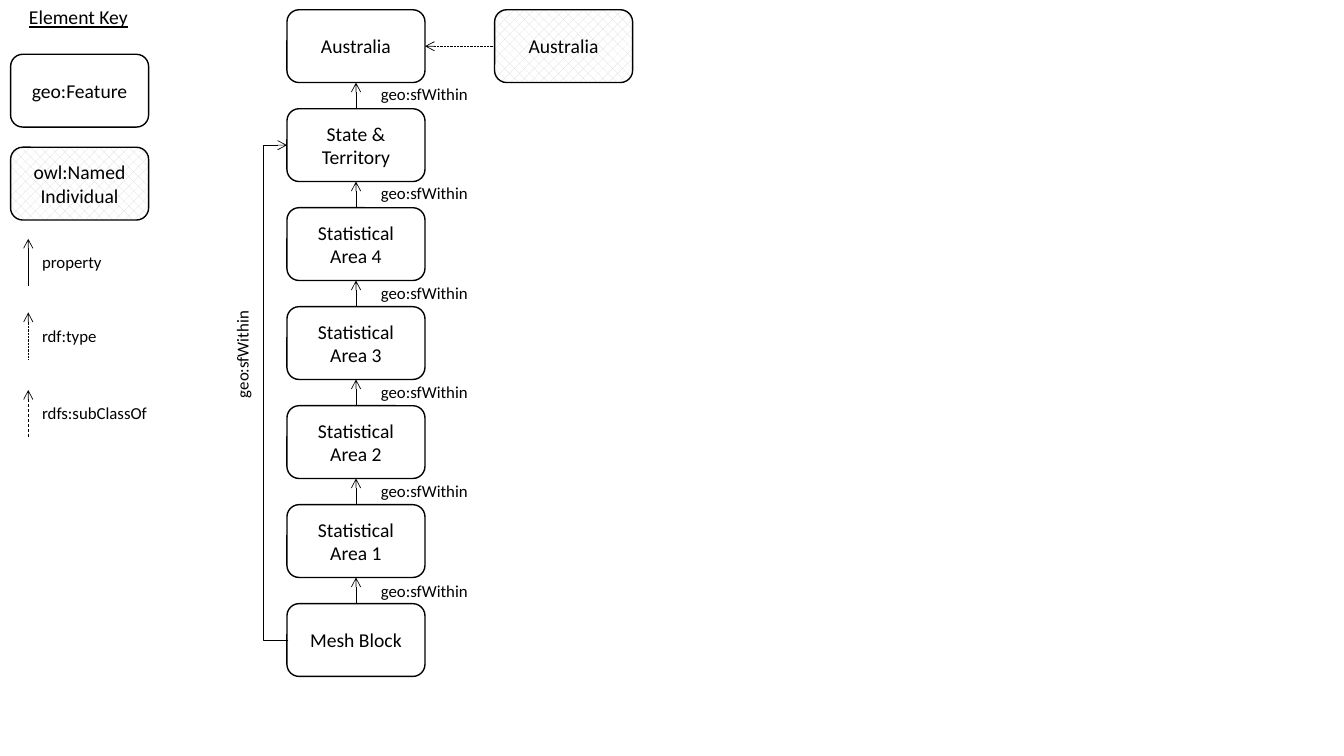
from dataclasses import dataclass

from lxml import etree
from pptx import Presentation
from pptx.dml.color import RGBColor
from pptx.enum.dml import MSO_LINE, MSO_PATTERN
from pptx.enum.shapes import MSO_CONNECTOR, MSO_SHAPE
from pptx.enum.text import MSO_ANCHOR, MSO_AUTO_SIZE, PP_ALIGN
from pptx.oxml.ns import qn
from pptx.util import Pt

STRAIGHT, ELBOW = MSO_CONNECTOR.STRAIGHT, MSO_CONNECTOR.ELBOW
ROUNDED = MSO_SHAPE.ROUNDED_RECTANGLE
DOTTED, DASHED = MSO_LINE.ROUND_DOT, MSO_LINE.DASH
HATCH = MSO_PATTERN.PERCENT_30
MIDDLE, CENTER = MSO_ANCHOR.MIDDLE, PP_ALIGN.CENTER
FIT_TEXT = MSO_AUTO_SIZE.SHAPE_TO_FIT_TEXT


@dataclass(frozen=True)
class Theme:
    """Colours, font, type sizes and line widths of the diagram."""

    ink: RGBColor = RGBColor(0, 0, 0)
    paper: RGBColor = RGBColor(255, 255, 255)
    hatch: RGBColor = RGBColor(0xD9, 0xD9, 0xD9)
    font: str = "Calibri"
    node_size: int = 14
    label_size: int = 12
    node_line: float = 1
    arrow_line: float = 0.5


THEME = Theme()
NODE_W, NODE_H = 98.6, 52
LABEL_H, WITHIN_W = 21.8, 77
WITHIN = "geo:sfWithin"
LEVELS = ["Australia", "State & Territory", "Statistical Area 4", "Statistical Area 3",
          "Statistical Area 2", "Statistical Area 1", "Mesh Block"]
KEY_ARROWS = [("property", 170.6, 57.6, None), ("rdf:type", 223.2, 53.3, DOTTED),
              ("rdfs:subClassOf", 278.6, 90, DASHED)]


def style_text(frame, text, size):
    """Fill a text frame with one paragraph in the theme font and return its font."""
    paragraph = frame.paragraphs[0]
    paragraph.text = text
    for run in paragraph.runs:
        run.font.name = THEME.font
        run.font.size = Pt(size)
        run.font.color.rgb = THEME.ink
    return paragraph.runs[0].font


def add_node(slide, left, top, text, individual=False):
    """Draw a rounded node, hatched when it stands for a named individual."""
    node = slide.shapes.add_shape(ROUNDED, Pt(left), Pt(top), Pt(NODE_W), Pt(NODE_H))
    node.shadow.inherit = False
    if individual:
        node.fill.patterned()
        node.fill.pattern = HATCH
        node.fill.fore_color.rgb = THEME.hatch
        node.fill.back_color.rgb = THEME.paper
    else:
        node.fill.background()
    node.line.color.rgb = THEME.ink
    node.line.width = Pt(THEME.node_line)
    node.text_frame.word_wrap = True
    node.text_frame.vertical_anchor = MIDDLE
    style_text(node.text_frame, text, THEME.node_size)
    node.text_frame.paragraphs[0].alignment = CENTER


def add_label(slide, left, top, width, text, height=LABEL_H, size=THEME.label_size):
    """Place an unwrapped text label and return it."""
    label = slide.shapes.add_textbox(Pt(left), Pt(top), Pt(width), Pt(height))
    label.text_frame.word_wrap = False
    label.text_frame.auto_size = FIT_TEXT
    style_text(label.text_frame, text, size)
    return label


def add_arrow(slide, start, end, dash=None, kind=STRAIGHT):
    """Draw a thin connector with an open arrowhead at its end."""
    arrow = slide.shapes.add_connector(kind, *map(Pt, start + end))
    arrow.line.color.rgb = THEME.ink
    arrow.line.width = Pt(THEME.arrow_line)
    if dash is not None:
        arrow.line.dash_style = dash
    properties = arrow.element.spPr
    etree.SubElement(properties.find(qn("a:ln")), qn("a:tailEnd"), type="arrow")
    etree.SubElement(properties, qn("a:effectLst"))
    return arrow


def add_bypass(slide, right, top, bottom, reach):
    """Draw the bent arrow running up the left side from bottom to top."""
    bypass = add_arrow(slide, (right, top), (right + 1, bottom), kind=ELBOW)
    properties = bypass.element.spPr
    properties.find(qn("a:xfrm")).set("rot", str(180 * 60000))
    adjustments = properties.find(qn("a:prstGeom")).get_or_add_avLst()
    etree.SubElement(adjustments, qn("a:gd"), name="adj1", fmla=f"val {reach * 100000}")


def build_key(slide, left, top):
    """Lay out the element key: heading, two node kinds and three arrow kinds."""
    heading = add_label(slide, left + 6, top, 85.7, "Element Key", 24.2, THEME.node_size)
    heading.text_frame.paragraphs[0].runs[0].font.underline = True
    add_node(slide, left, top + 38.8, "geo:Feature")
    add_node(slide, left, top + 105.2, "owl:Named\vIndividual", individual=True)
    arrow_x = left + 12.6
    for meaning, offset, width, dash in KEY_ARROWS:
        tip = top + offset
        add_arrow(slide, (arrow_x, tip + 33.4), (arrow_x, tip), dash)
        add_label(slide, left + 15.4, tip + 5.8, width, meaning)


def build_hierarchy(slide, left, top):
    """Stack the area levels, link each to its parent and add the typed individual."""
    pitch, middle = 70.7, left + NODE_W / 2
    tops = [top + pitch * level for level in range(len(LEVELS))]
    for name, node_top in zip(LEVELS, tops):
        add_node(slide, left, node_top, name)
    for level, child_top in enumerate(tops[1:]):
        add_arrow(slide, (middle, child_top), (middle, tops[level] + NODE_H))
        add_label(slide, left + 60, top + 49.1 + 71 * level, WITHIN_W, WITHIN)

    individual_left, axis = left + 148.3, top + NODE_H / 2
    add_node(slide, individual_left, top, LEVELS[0], individual=True)
    add_arrow(slide, (individual_left, axis), (left + NODE_W, axis), DOTTED)

    add_bypass(slide, left, tops[1] + NODE_H / 2, tops[-1] + NODE_H / 2, 18)
    bypass_label = add_label(slide, left - 70.6, top + 235, WITHIN_W, WITHIN)
    bypass_label.rotation = 270


def main():
    """Build the one-slide deck and save it."""
    deck = Presentation()
    deck.slide_width, deck.slide_height = Pt(960), Pt(540)
    slide = deck.slides.add_slide(deck.slide_layouts[6])
    build_key(slide, 7.6, 0)
    build_hierarchy(slide, 205, 7)
    deck.save("out.pptx")


main()
